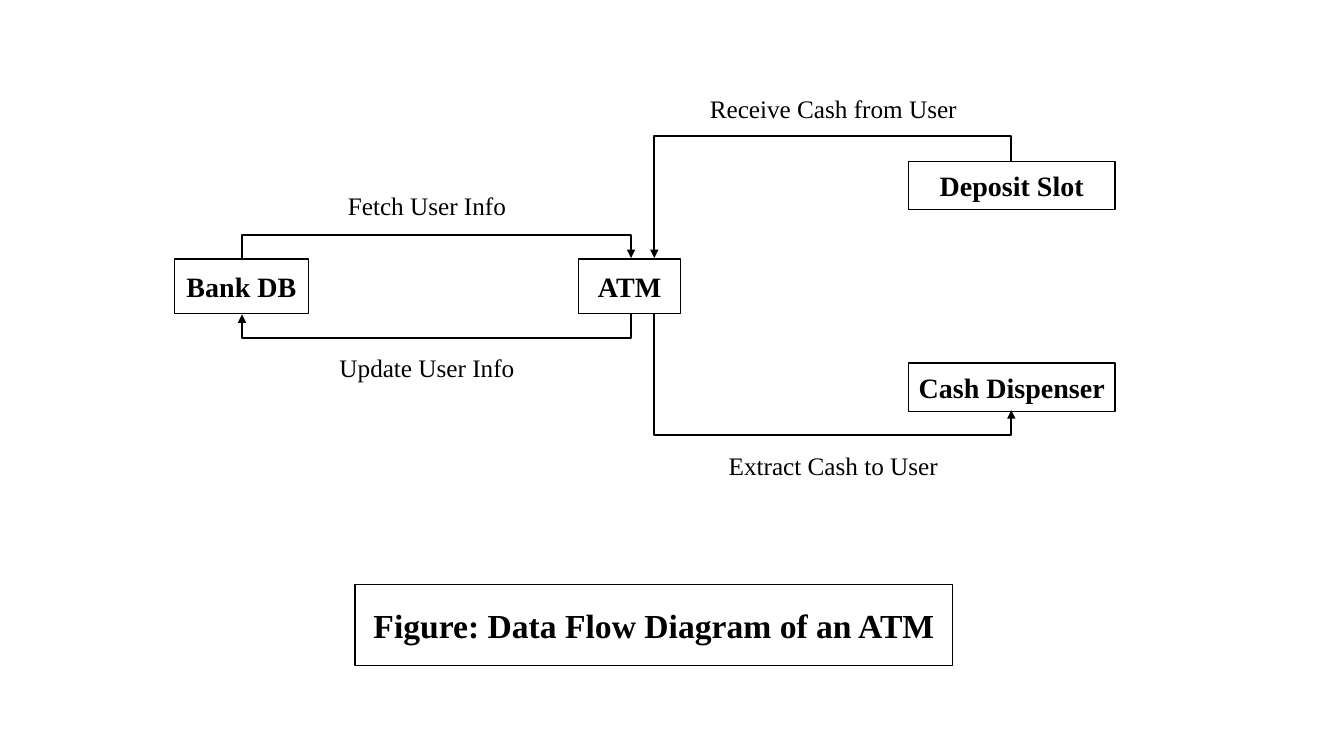
from dataclasses import dataclass
from lxml import etree
from pptx import Presentation, util as u
from pptx.dml.color import RGBColor
from pptx.enum import shapes, text
from pptx.oxml.ns import qn


@dataclass(frozen=True)
class Theme:
    font: str = "Times New Roman"
    ink: RGBColor = RGBColor(0, 0, 0)
    paper: RGBColor = RGBColor(255, 255, 255)
    caption: int = 24
    node: int = 20
    label: int = 18
    border: float = 1
    flow: float = 1.5


T = Theme()

CAPTION = ("Figure: Data Flow Diagram of an ATM", (3.52, 5.8, 5.93, 0.8))
NODES = {
    "ATM": (5.74, 2.57, 1.01, 0.54),
    "Bank DB": (1.73, 2.57, 1.33, 0.54),
    "Deposit Slot": (9.01, 1.6, 2.05, 0.48),
    "Cash Dispenser": (9.01, 3.6, 2.05, 0.48),
}
LABELS = {
    "Fetch User Info": (3.25, 1.9, 1.97, 0.27),
    "Update User Info": (3.25, 3.51, 1.97, 0.27),
    "Receive Cash from User": (6.89, 0.9, 2.75, 0.35),
    "Extract Cash to User": (6.89, 4.44, 2.75, 0.35),
}
BANK_X, ATM_X, CASH_X, DEVICE_X = 2.4, 6.26, 6.49, 10.03
FLOWS = [
    ((BANK_X, 2.57), 2.33, (ATM_X, 2.56)),
    ((ATM_X, 3.11), 3.36, (BANK_X, 3.12)),
    ((DEVICE_X, 1.6), 1.35, (CASH_X, 2.56)),
    ((CASH_X, 3.11), 4.32, (DEVICE_X, 4.07)),
]


def style_box(sp, words, size, bold, line):
    sp.fill.solid()
    sp.fill.fore_color.rgb = T.paper
    sp.line.color.rgb = line
    sp.line.width = u.Pt(T.border)
    tf = sp.text_frame
    tf.text = words
    tf.auto_size = text.MSO_AUTO_SIZE.NONE
    tf.word_wrap = False
    tf.vertical_anchor = text.MSO_ANCHOR.MIDDLE
    p = tf.paragraphs[0]
    p.alignment = text.PP_ALIGN.CENTER
    f = p.runs[0].font
    f.name, f.size, f.bold = T.font, u.Pt(size), bold
    f.color.rgb = T.ink


def add_box(s, words, at, size, bold, line):
    sp = s.shapes.add_shape(shapes.MSO_SHAPE.RECTANGLE, *map(u.Inches, at))
    sp.shadow.inherit = False
    style_box(sp, words, size, bold, line)


def add_flow(s, start, turn_y, end):
    (x1, y1), (x2, y2) = start, end
    run, rise = abs(x2 - x1), abs(y2 - y1)
    left, top = (x1 + x2 - rise) / 2, (y1 + y2 - run) / 2
    c = s.shapes.add_connector(
        shapes.MSO_CONNECTOR.ELBOW,
        *map(u.Inches, (left, top, left + rise, top + run)))
    c.line.color.rgb = T.ink
    c.line.width = u.Pt(T.flow)
    pr = c._element.spPr
    xfrm = pr.find(qn("a:xfrm"))
    xfrm.set("rot", "5400000")
    xfrm.set("flipH", str(int(y2 < y1)))
    xfrm.set("flipV", str(int(x2 > x1)))
    bend = round((turn_y - y1) / (y2 - y1) * 100000)
    guides = pr.find(qn("a:prstGeom")).get_or_add_avLst()
    etree.SubElement(guides, qn("a:gd"), name="adj1", fmla=f"val {bend}")
    etree.SubElement(pr.find(qn("a:ln")), qn("a:tailEnd"), type="triangle")
    etree.SubElement(pr, qn("a:effectLst"))


prs = Presentation()
prs.slide_width, prs.slide_height = u.Inches(13.33), u.Inches(7.5)
s = prs.slides.add_slide(prs.slide_layouts[5])

title = s.shapes.title
title.left, title.top, title.width, title.height = map(u.Inches, CAPTION[1])
style_box(title, CAPTION[0], T.caption, True, T.ink)

for words, at in LABELS.items():
    add_box(s, words, at, T.label, False, T.paper)
for words, at in NODES.items():
    add_box(s, words, at, T.node, True, T.ink)
for flow in FLOWS:
    add_flow(s, *flow)

prs.save("out.pptx")
